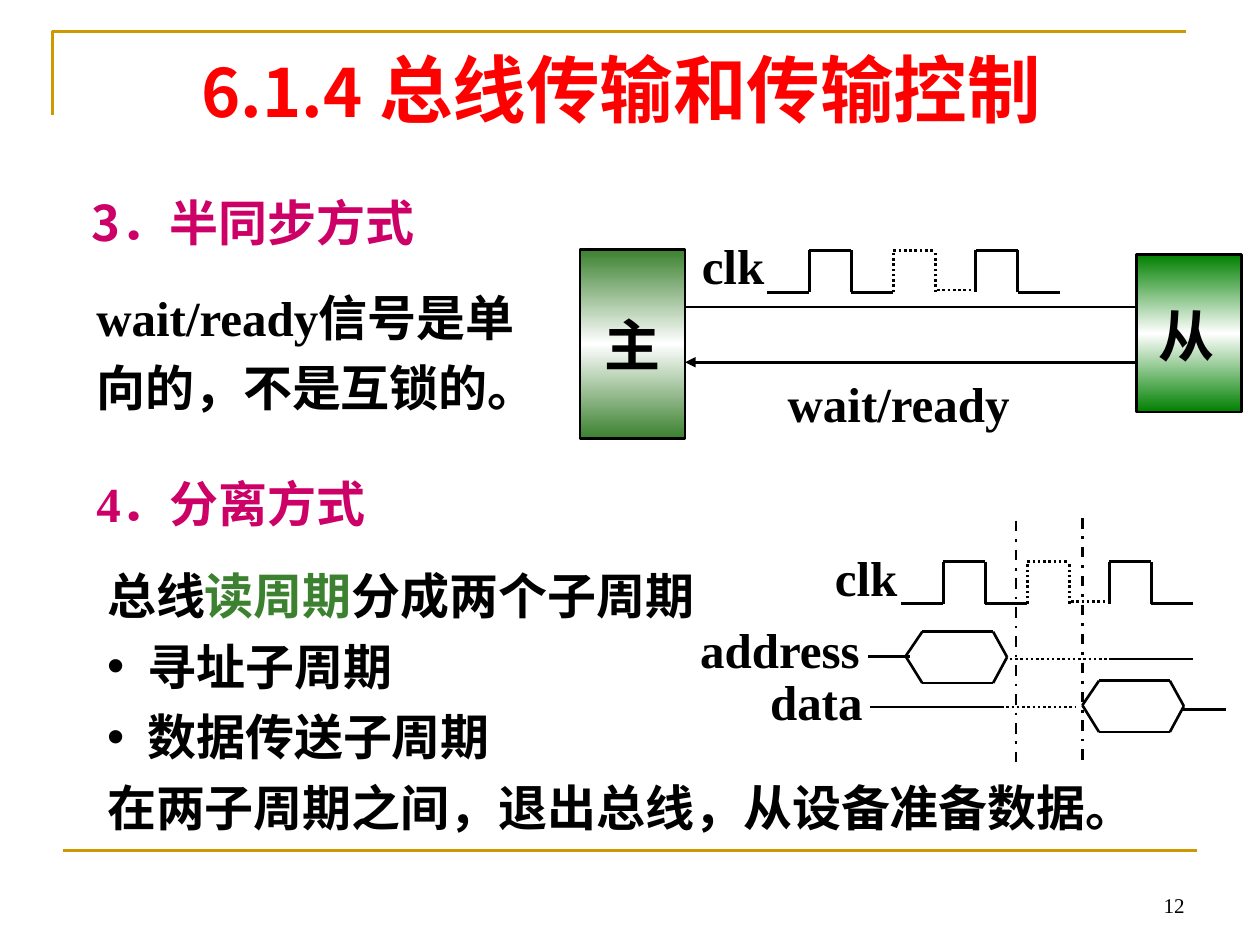
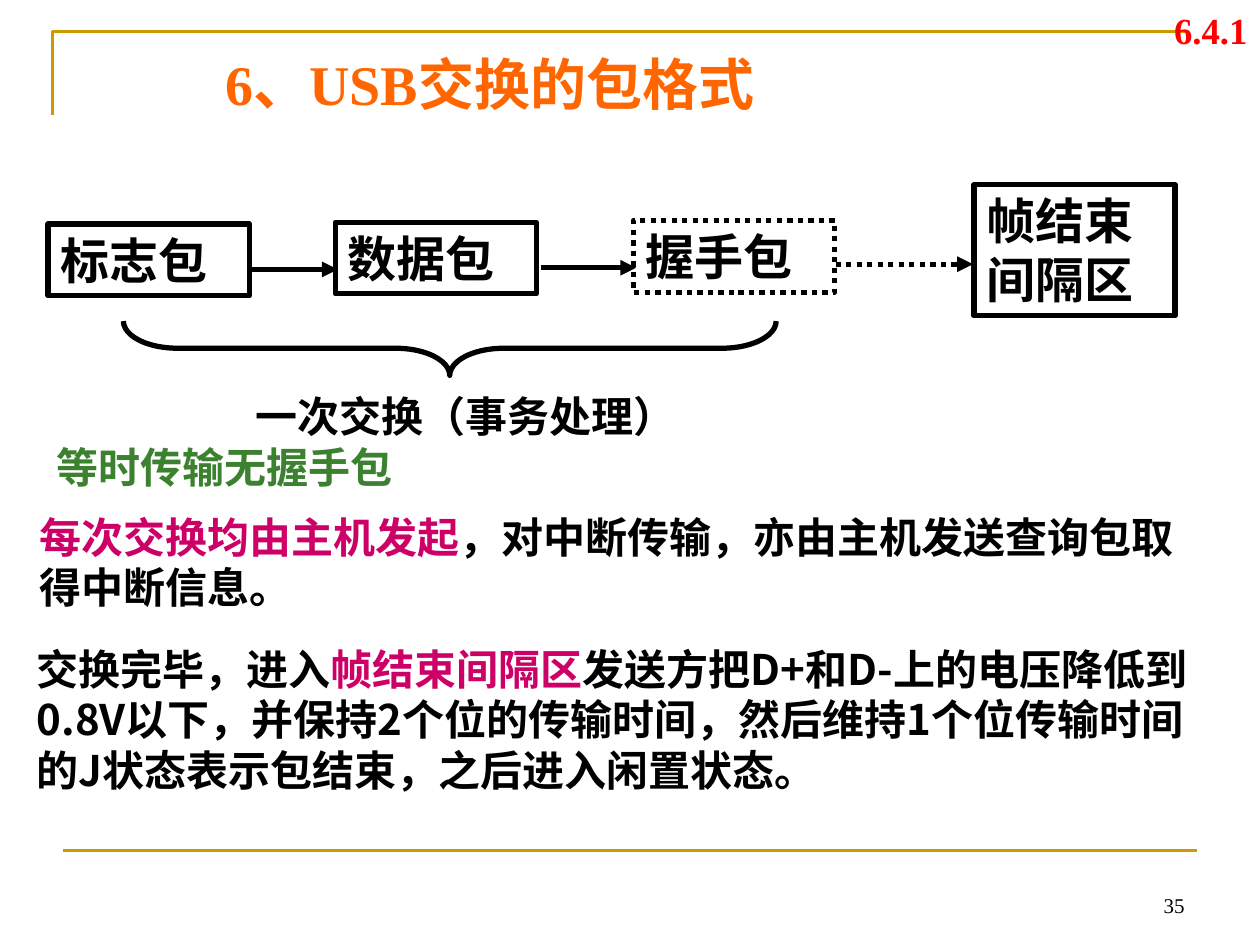
"""Builds two lecture slides on bus transfer control and USB packet formats."""
from copy import deepcopy

from pptx import Presentation
from pptx.dml.color import RGBColor
from pptx.enum.dml import MSO_LINE_DASH_STYLE as Dash
from pptx.enum.shapes import MSO_CONNECTOR as Link, MSO_SHAPE as Preset
from pptx.enum.text import MSO_ANCHOR as Anchor, MSO_AUTO_SIZE as Fit, PP_ALIGN as Align
from pptx.oxml.ns import qn
from pptx.util import Pt

rgb = RGBColor.from_string
BLACK, GOLD, RED, ORANGE = "000000", "CC9900", "FF0000", "FF6600"
MAGENTA, GREEN, DEEP_GREEN, WHITE = "CC0066", "3B812F", "008000", "FFFFFF"
SANS, SERIF = "Noto Sans CJK SC", "Times New Roman"
DOT = Dash.ROUND_DOT


def write(holder, paragraphs, size, face=SERIF, colour=BLACK, bold=True, lead=1.2,
          align=Align.LEFT, anchor=Anchor.TOP, wrap=True, inset=(7.2, 3.6), bulleted=()):
    """Fill a shape with paragraphs, each a list of (text, overrides) runs."""
    frame = holder.text_frame
    settings = {"word_wrap": wrap, "auto_size": Fit.NONE, "vertical_anchor": anchor,
                "margin_left": Pt(inset[0]), "margin_right": Pt(inset[0]),
                "margin_top": Pt(inset[1]), "margin_bottom": Pt(inset[1])}
    for name, value in settings.items():
        setattr(frame, name, value)
    for index, runs in enumerate(paragraphs):
        paragraph = frame.add_paragraph() if index else frame.paragraphs[0]
        properties = paragraph._p.get_or_add_pPr()
        indent = Pt(23) if index in bulleted else 0
        properties.set("marL", str(indent))
        properties.set("indent", str(-indent))
        if indent:
            properties.makeelement(qn("a:buChar"))
            bullet = properties.makeelement(qn("a:buChar"), {"char": "•"})
        else:
            bullet = properties.makeelement(qn("a:buNone"))
        properties.append(bullet)
        layout = {"alignment": align, "line_spacing": Pt(round(size * lead, 2)),
                  "space_before": Pt(0), "space_after": Pt(0)}
        for name, value in layout.items():
            setattr(paragraph, name, value)
        for text, changes in runs:
            run = paragraph.add_run()
            run.text = text
            look = {"size": Pt(size), "bold": bold, "name": face, **changes}
            run.font.color.rgb = rgb(look.pop("colour", colour))
            for name, value in look.items():
                setattr(run.font, name, value)
            character = run._r.get_or_add_rPr()
            character.append(character.makeelement(qn("a:ea"), {"typeface": SANS}))


def draw(slide, x1, y1, x2, y2, dash=None, width=1.5, colour=BLACK, arrow=False):
    """Draw a straight line, with an arrowhead at its end if asked."""
    link = slide.shapes.add_connector(Link.STRAIGHT, Pt(x1), Pt(y1), Pt(x2), Pt(y2))
    link.line.color.rgb = rgb(colour)
    link.line.width = Pt(width)
    if dash:
        link.line.dash_style = dash
    properties = link._element.spPr
    if arrow:
        outline = properties.find(qn("a:ln"))
        outline.append(outline.makeelement(qn("a:tailEnd"), {"type": "triangle"}))
    properties.append(properties.makeelement(qn("a:effectLst")))


deck = Presentation()
deck.slide_width, deck.slide_height = Pt(720), Pt(540)
bus = deck.slides.add_slide(deck.slide_layouts[1])
usb = deck.slides.add_slide(deck.slide_layouts[5])

headings = [
    (bus, (108, 15, 612, 70.5), "12", [("6.1.4", {"size": Pt(38)}), (" 总线传输和传输控制", {})],
     {"size": 42, "face": SANS, "colour": RED}),
    (usb, (121.5, 26, 480, 42.5), "35", [("6、USB交换的包格式", {})],
     {"size": 32, "colour": ORANGE}),
]
for slide, place, number, heading, style in headings:
    corner = slide.shapes.build_freeform(Pt(30), Pt(66))
    corner.add_line_segments([(Pt(30), Pt(18)), (Pt(678), Pt(18))], close=False)
    band = corner.convert_to_shape()
    band.fill.background()
    band.line.color.rgb = rgb(GOLD)
    band.line.width = Pt(1.5)
    band.shadow.inherit = False
    draw(slide, 36, 486, 684, 486, colour=GOLD)
    title = slide.shapes.title
    title.left, title.top, title.width, title.height = map(Pt, place)
    write(title, [heading], anchor=Anchor.MIDDLE, **style)
    page = slide.shapes.add_textbox(Pt(516), Pt(492), Pt(168), Pt(36))
    write(page, [[(number, {})]], 12, bold=False, lead=1.15, align=Align.RIGHT,
          anchor=Anchor.BOTTOM)

cycles = bus.placeholders[1]
cycles.left, cycles.top, cycles.width, cycles.height = Pt(54), Pt(313), Pt(695), Pt(168.5)
write(cycles, [
    [("总线", {}), ("读周期", {"colour": GREEN}), ("分成两个子周期", {})],
    [("寻址子周期", {})],
    [("数据传送子周期", {})],
    [("在两子周期之间，退出总线，从设备准备数据。", {})],
], 28, SANS, lead=1.44, bulleted=(1, 2))

bus_texts = [
    ((45.5, 100, 241, 53), "3．半同步方式", {"face": SANS, "colour": MAGENTA}),
    ((48, 260.5, 196, 47.5), "4．分离方式", {"colour": MAGENTA}),
    ((48, 154, 272, 88), "wait/ready信号是单向的，不是互锁的。", {}),
]
for place, text, style in bus_texts:
    write(bus.shapes.add_textbox(*map(Pt, place)), [[(text, {})]], 28, lead=1.44, **style)

signals = [(394, 132.5, 50, "clk"), (443, 211.5, 142, "wait/ready"), (470, 311, 50, "clk"),
           (393, 352, 106, "address"), (433, 381.5, 67, "data")]
for left, top, width, signal in signals:
    label = bus.shapes.add_textbox(Pt(left), Pt(top), Pt(width), Pt(41))
    write(label, [[(signal, {})]], 28, lead=1.15, wrap=False)

devices = [((331.5, 142.5, 60, 108), GREEN, "主"), ((649.5, 145.5, 60, 90), DEEP_GREEN, "")]
for place, edge, name in devices:
    device = bus.shapes.add_shape(Preset.RECTANGLE, *map(Pt, place))
    device.shadow.inherit = False
    device.line.color.rgb = rgb(BLACK)
    device.line.width = Pt(1.5)
    device.fill.gradient()
    device.fill.gradient_angle = 90
    stops = device._element.spPr.find(".//" + qn("a:gsLst"))
    stops.insert(1, deepcopy(stops[0]))
    for stop, position, shade in zip(device.fill.gradient_stops, (0, 0.5, 1), (edge, WHITE, edge)):
        stop.position = position
        stop.color.rgb = rgb(shade)
    if name:
        write(device, [[(name, {})]], 32, align=Align.CENTER, anchor=Anchor.MIDDLE, wrap=False)
slave = bus.shapes.add_textbox(Pt(655), Pt(169), Pt(46), Pt(46))
write(slave, [[("从", {})]], 32, wrap=False)
draw(bus, 391.5, 175.5, 649.5, 175.5)
draw(bus, 649.5, 207, 391.5, 207, arrow=True)

step = 24
for x, low in ((438.5, 167), (515, 345)):
    high = low - step
    for start, dash in ((24, None), (72, DOT), (119, None)):
        rise, fall = x + start, x + start + step
        draw(bus, rise, low, rise, high, dash)
        draw(bus, rise, high, fall, high, dash)
        draw(bus, fall, low, fall, high, dash)
    for start, lift, dash in ((0, 0, None), (48, 0, None), (97, 1.2, DOT), (143, 0, None)):
        draw(bus, x + start, low - lift, x + start + step, low - lift, dash)

hexagon = [(0, 15), (9.5, 1), (50, 1), (58, 15.5), (50, 30.3), (9.5, 30.3)]
for x, y in ((517.5, 360), (618.5, 388)):
    for (x1, y1), (x2, y2) in zip(hexagon, hexagon[1:] + hexagon[:1]):
        draw(bus, x + x1, y + y1, x + x2, y + y2)

levels = [(496, 520, 375, None), (577, 634, 376.5, DOT), (634, 682, 376.5, None),
          (497, 572, 404, None), (569, 615, 404, DOT), (676, 700.5, 405.5, None)]
for start, end, y, dash in levels:
    draw(bus, start, y, end, y, dash)
for x, top in ((580.5, 297.5), (618.5, 296)):
    draw(bus, x, top, x, top + 141, Dash.DASH_DOT)

packets = [(27.5, 128, 41, "标志包", None), (191.5, 127, 41, "数据包", None),
           (362, 126, 41, "握手包", DOT), (556.5, 105.5, 75, "帧结束间隔区", None)]
for left, top, height, name, dash in packets:
    packet = usb.shapes.add_shape(Preset.RECTANGLE, Pt(left), Pt(top), Pt(115), Pt(height))
    packet.shadow.inherit = False
    packet.fill.background()
    packet.line.color.rgb = rgb(BLACK)
    packet.line.width = Pt(3)
    if dash:
        packet.line.dash_style = dash
    write(packet, [[(name, {})]], 28)
for start, end, y, dash in ((141, 193, 154, None), (309, 363.5, 153, None), (477.5, 556, 151, DOT)):
    draw(usb, start, y, end, y, dash, width=3, arrow=True)

brace = usb.shapes.add_shape(Preset.LEFT_BRACE, Pt(241.5), Pt(12.5), Pt(31), Pt(373))
brace.rotation = 270
brace.adjustments[0] = 1
brace.shadow.inherit = False
brace.fill.background()
brace.line.color.rgb = rgb(BLACK)
brace.line.width = Pt(3)

usb_texts = [
    ((139, 219.5, 338, 36), [("一次交换（事务处理）", {})], {}),
    ((25, 248.5, 276.5, 36), [("等时传输无握手包", {})], {"colour": GREEN}),
    ((19.5, 367, 672, 97),
     [("交换完毕，进入", {}), ("帧结束间隔区", {"colour": MAGENTA}),
      ("发送方把D+和D-上的电压降低到0.8V以下，并保持2个位的传输时间，"
       "然后维持1个位传输时间的J状态表示包结束，之后进入闲置状态。", {})],
     {"face": SANS, "inset": (1.5, 0.75)}),
    ((15.5, 288.5, 672.5, 65),
     [("每次交换均由主机发起", {"colour": MAGENTA}),
      ("，对中断传输，亦由主机发送查询包取得中断信息。", {})], {"face": SANS}),
]
for place, runs, style in usb_texts:
    write(usb.shapes.add_textbox(*map(Pt, place)), [runs], 24, **style)
section = usb.shapes.add_textbox(Pt(649.5), Pt(-2), Pt(70.5), Pt(39.5))
write(section, [[("6.4.1", {})]], 21, colour=RED, lead=1.15, align=Align.RIGHT,
      anchor=Anchor.MIDDLE)

deck.save("out.pptx")
